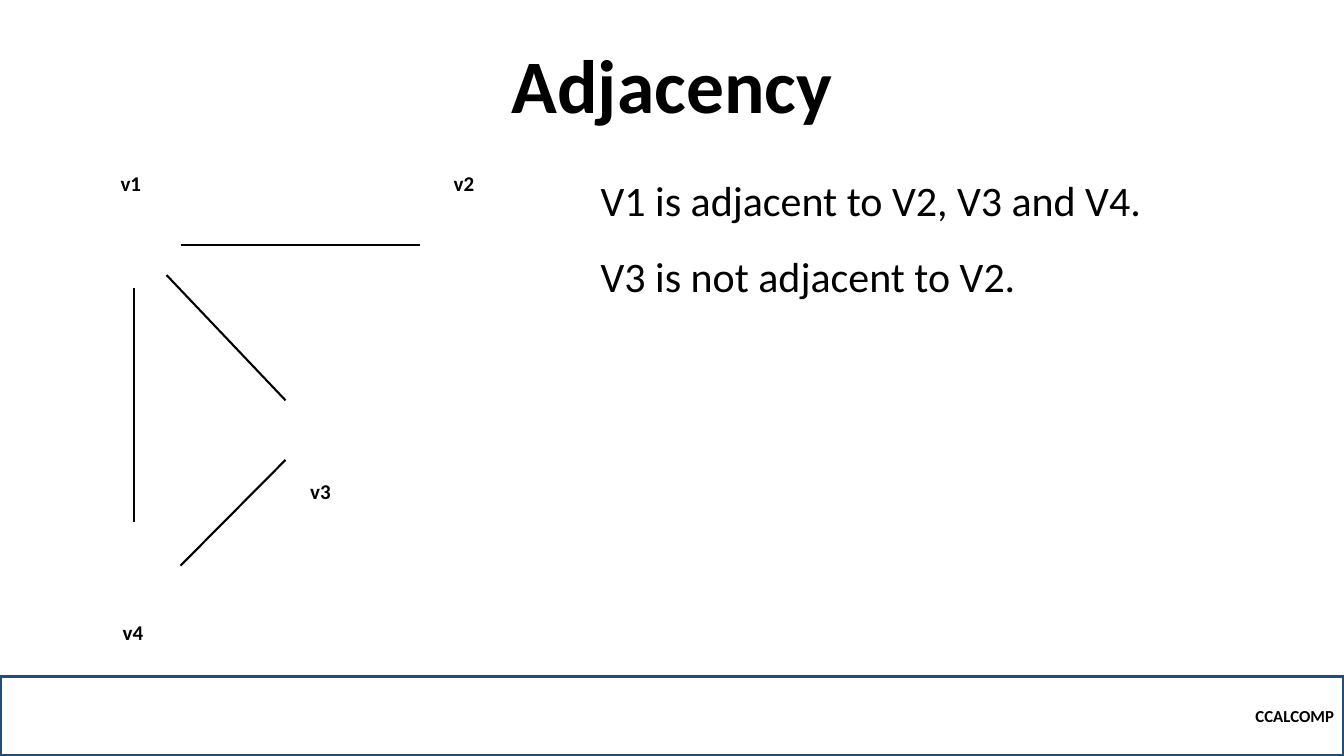
from pptx import Presentation
from pptx.dml.color import RGBColor
from pptx.enum.shapes import MSO_CONNECTOR, MSO_SHAPE
from pptx.enum.text import MSO_ANCHOR, MSO_AUTO_SIZE, PP_ALIGN
from pptx.oxml.ns import qn
from pptx.util import Pt
from lxml.etree import SubElement

COLOURS = {"ink": "000000", "border": "1F4E79"}
VERTICES = {"v1": (79, 118), "v2": (317, 118), "v3": (214.5, 338), "v4": (80.5, 439)}
EDGES = [
    (129, 175, 300, 175),
    (119, 196.5, 204, 286),
    (96, 206, 96, 373),
    (129, 404, 204, 328.5),
]
STATEMENTS = ["V1 is adjacent to V2, V3 and V4.", "V3 is not adjacent to V2."]


class SlideBuilder:
    font_name = "Calibri"

    def __init__(self, slide):
        self.slide = slide

    def colour(self, name):
        return RGBColor.from_string(COLOURS[name])

    def set_wording(self, frame, wording, size, bold, align):
        paragraph = frame.paragraphs[0]
        paragraph.text = wording
        paragraph.alignment = align
        font = paragraph.font
        font.name = self.font_name
        font.size = Pt(size)
        font.bold = bold
        font.color.rgb = self.colour("ink")
        return paragraph

    def title(self, wording, *box):
        frame = self.slide.shapes.add_textbox(*map(Pt, box)).text_frame
        frame.word_wrap = True
        frame.vertical_anchor = MSO_ANCHOR.BOTTOM
        heading = self.set_wording(frame, wording, 54, True, PP_ALIGN.CENTER)
        heading.line_spacing = 0.9

    def text(self, wording, box, size, bold=False, wrap=True):
        frame = self.slide.shapes.add_textbox(*map(Pt, box)).text_frame
        frame.word_wrap = wrap
        frame.auto_size = MSO_AUTO_SIZE.SHAPE_TO_FIT_TEXT
        self.set_wording(frame, wording, size, bold, PP_ALIGN.LEFT)

    def footer(self, wording, *box):
        bar = self.slide.shapes.add_shape(MSO_SHAPE.RECTANGLE, *map(Pt, box))
        bar.shadow.inherit = False
        bar.fill.background()
        bar.line.color.rgb = self.colour("border")
        bar.line.width = Pt(2.25)
        bar.text_frame.vertical_anchor = MSO_ANCHOR.MIDDLE
        self.set_wording(bar.text_frame, wording, 12, True, PP_ALIGN.RIGHT)

    def edge(self, *ends):
        edge = self.slide.shapes.add_connector(MSO_CONNECTOR.STRAIGHT, *map(Pt, ends))
        edge.line.color.rgb = self.colour("ink")
        edge.line.width = Pt(1.5)
        SubElement(edge._element.spPr, qn("a:effectLst"))


def main():
    presentation = Presentation()
    presentation.slide_width = Pt(960)
    presentation.slide_height = Pt(540)
    builder = SlideBuilder(presentation.slides.add_slide(presentation.slide_layouts[6]))

    builder.title("Adjacency", 120, 39, 720, 57)
    builder.footer("CCALCOMP", 0, 483, 960, 57)
    for vertex, (left, top) in VERTICES.items():
        builder.text(vertex, (left, top, 32, 25), 15, bold=True, wrap=False)
    for ends in EDGES:
        builder.edge(*ends)
    for row, statement in enumerate(STATEMENTS):
        builder.text(statement, (422, 121 + 54.5 * row, 484.5, 44), 30)

    presentation.save("out.pptx")


if __name__ == "__main__":
    main()
